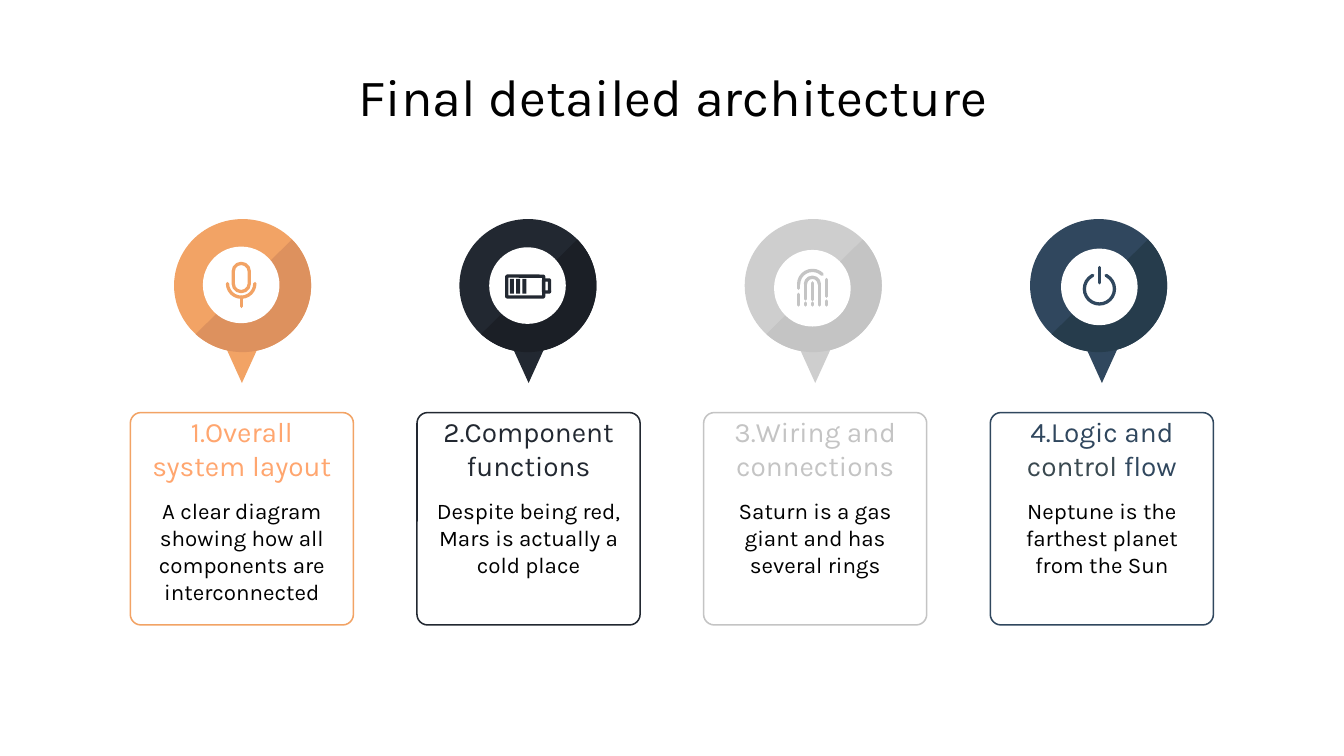
"""Build the slide of four map pins, each standing over a captioned card."""
from dataclasses import dataclass
from typing import NamedTuple

from lxml.etree import SubElement
from pptx import Presentation
from pptx.dml.color import RGBColor
from pptx.enum.shapes import MSO_CONNECTOR, MSO_SHAPE as S
from pptx.enum.text import MSO_ANCHOR as ANCHOR, MSO_AUTO_SIZE, PP_ALIGN
from pptx.oxml.ns import qn
from pptx.util import Inches, Pt

WHITE = RGBColor(0xFF, 0xFF, 0xFF)
BLACK = RGBColor(0x00, 0x00, 0x00)
ORANGE = RGBColor(0xF2, 0xA3, 0x65)
PEACH = RGBColor(0xFF, 0xA6, 0x6F)
ORANGE_SHADE = RGBColor(0xDD, 0x91, 0x5E)
INK = RGBColor(0x22, 0x28, 0x31)
INK_SHADE = RGBColor(0x1B, 0x1F, 0x26)
SILVER = RGBColor(0xCE, 0xCE, 0xCE)
GREY = RGBColor(0xC4, 0xC4, 0xC4)
NAVY = RGBColor(0x30, 0x47, 0x5E)
NAVY_SHADE = RGBColor(0x26, 0x3C, 0x4C)
SLATE = RGBColor(0x3A, 0x49, 0x50)

SLIDE_W, SLIDE_H = Inches(10), Inches(5.625)
CELL = SLIDE_W / 100
FONT = "Karla"
ANGLE = 0.6
STROKE = Pt(1.75)
CARD_LEFT, CARD_TOP, CARD_W, CARD_H, CARD_PITCH = 9.7, 30.7, 16.6, 15.8, 21.33
HEAD_H = 5.3
PIN_X, PIN_Y, PIN_W, PIN_H, PIN_PITCH = 18.05, 21.25, 10.2, 9.9, 21.23
TAIL_TOP, TAIL_W, TAIL_H = 25.3, 2.9, 3.2
HUB_D = 5.7


class Line(NamedTuple):
    """Stroke between two points, in cells from the hub's centre."""
    x1: float
    y1: float
    x2: float
    y2: float


class Arc(NamedTuple):
    """Circular stroke, its angles in degrees clockwise from the right."""
    y: float
    radius: float
    start: float
    end: float


class Box(NamedTuple):
    """Rectangle, outlined or solid, with its corner rounding."""
    x: float
    y: float
    w: float
    h: float
    corner: float = 0
    solid: bool = False


@dataclass
class Stop:
    """One pin with its icon and card."""
    color: RGBColor
    shade: RGBColor
    accent: RGBColor
    heading: list
    body: str
    hub: tuple
    icon: list


MIC = [Box(-0.6, -1.6, 1.2, 2.1, 0.5), Arc(-0.1, 1.02, 0, 180), Line(0, 0.9, 0, 1.6)]
BATTERY = [Box(-1.55, -0.7, 2.75, 1.55, 0.04), Box(1.2, -0.42, 0.45, 0.9, 0.1),
           *(Box(x, -0.5, 0.3, 1.1, solid=True) for x in (-1.3, -0.85, -0.38))]
FINGERPRINT = [Arc(-0.3, 1.03, 180, 315), Arc(-0.3, 0.52, 180, 0),
               *(Line(x, top, x, end) for x, top, end in (
                   (-1.03, -0.3, 0), (-1.03, 0.45, 1.25), (-0.52, -0.3, 0.8),
                   (-0.52, 1.1, 1.25), (0, -0.4, 0.85), (0, 1.1, 1.25),
                   (0.52, -0.3, 1.25), (1.03, -0.65, 0.6), (1.03, 0.95, 1.25)))]
POWER = [Arc(0.15, 1.12, 296, 244), Line(0, -1.45, 0, -0.3)]

STOPS = [
    Stop(ORANGE, ORANGE_SHADE, ORANGE, [("1.Overall system layout", PEACH)],
         "A clear diagram showing how all components are interconnected",
         (17.95, 21.2), MIC),
    Stop(INK, INK_SHADE, INK, [("2.Component functions", INK)],
         "Despite being red, Mars is actually a cold place", (39.25, 21.25), BATTERY),
    Stop(SILVER, GREY, GREY, [("3.Wiring and connections", GREY)],
         "Saturn is a gas giant and has several rings", (60.45, 21.45), FINGERPRINT),
    Stop(NAVY, NAVY_SHADE, NAVY,
         [("4.Logic and ", NAVY), ("control", SLATE), (" flow", NAVY)],
         "Neptune is the farthest planet from the Sun", (81.8, 21.35), POWER),
]


def cells(*values: float) -> list:
    """Convert grid cells to slide lengths."""
    return [round(v * CELL) for v in values]


def set_line(sp, color: RGBColor, width: int) -> None:
    """Give a shape or connector a round-ended line."""
    sp.line.color.rgb = color
    sp.line.width = width
    sp.element.spPr.find(qn("a:ln")).set("cap", "rnd")


def add_preset(shapes, kind, box: tuple, fill=None, line=None, width=STROKE, adjust=()):
    """Add a flat preset shape placed in cells."""
    sp = shapes.add_shape(kind, *cells(*box))
    sp.shadow.inherit = False
    for i, value in enumerate(adjust):
        sp.adjustments[i] = value
    if fill is None:
        sp.fill.background()
    else:
        sp.fill.solid()
        sp.fill.fore_color.rgb = fill
    if line is None:
        sp.line.fill.background()
    else:
        set_line(sp, line, width)
    return sp


def write(sp, runs: list, size: float, anchor) -> None:
    """Fill a text shape with one centred paragraph."""
    tf = sp.text_frame
    inset = cells(1)[0]
    layout = {"word_wrap": True, "auto_size": MSO_AUTO_SIZE.NONE, "vertical_anchor": anchor,
              "margin_left": inset, "margin_right": inset,
              "margin_top": inset, "margin_bottom": inset}
    for name, value in layout.items():
        setattr(tf, name, value)
    p = tf.paragraphs[0]
    p.alignment = PP_ALIGN.CENTER
    for text, color in runs:
        r = p.add_run()
        r.text = text
        for name, value in {"name": FONT, "size": Pt(size), "bold": False}.items():
            setattr(r.font, name, value)
        r.font.color.rgb = color


def draw_icon(shapes, stop: Stop) -> None:
    """Draw the icon's strokes and boxes around the hub's centre."""
    cx, cy = stop.hub
    for part in stop.icon:
        if isinstance(part, Line):
            ends = cells(cx + part.x1, cy + part.y1, cx + part.x2, cy + part.y2)
            cn = shapes.add_connector(MSO_CONNECTOR.STRAIGHT, *ends)
            set_line(cn, stop.accent, STROKE)
            SubElement(cn.element.spPr, qn("a:effectLst"))
        elif isinstance(part, Arc):
            r = part.radius
            add_preset(shapes, S.ARC, (cx - r, cy + part.y - r, 2 * r, 2 * r),
                       line=stop.accent, adjust=(part.start * ANGLE, part.end * ANGLE))
        else:
            paint = {"fill" if part.solid else "line": stop.accent}
            add_preset(shapes, S.ROUNDED_RECTANGLE, (cx + part.x, cy + part.y, part.w, part.h),
                       adjust=(part.corner,), **paint)


def draw_pin(shapes, stop: Stop, cx: float, tail_x: float) -> None:
    """Draw a pin: tail, shaded disc, white hub and icon."""
    disc = (cx - PIN_W / 2, PIN_Y - PIN_H / 2, PIN_W, PIN_H)
    hub = (stop.hub[0] - HUB_D / 2, stop.hub[1] - HUB_D / 2, HUB_D, HUB_D)
    add_preset(shapes, S.FLOWCHART_MERGE, (tail_x - TAIL_W / 2, TAIL_TOP, TAIL_W, TAIL_H),
               stop.color)
    add_preset(shapes, S.OVAL, disc, stop.color)
    add_preset(shapes, S.CHORD, disc, stop.shade, adjust=(317 * ANGLE, 134 * ANGLE))
    add_preset(shapes, S.OVAL, hub, WHITE)
    draw_icon(shapes, stop)


def draw_card(shapes, stop: Stop, left: float) -> None:
    """Draw a card outline with its heading and body text."""
    add_preset(shapes, S.ROUNDED_RECTANGLE, (left, CARD_TOP, CARD_W, CARD_H),
               line=stop.accent, width=Pt(0.81), adjust=(0.05,))
    head = shapes.add_textbox(*cells(left, CARD_TOP, CARD_W, HEAD_H))
    write(head, stop.heading, 15, ANCHOR.MIDDLE)
    body = shapes.add_textbox(*cells(left, CARD_TOP + HEAD_H, CARD_W, CARD_H - HEAD_H))
    write(body, [(stop.body, BLACK)], 12, ANCHOR.TOP)


def main() -> None:
    """Build and save the slide."""
    prs = Presentation()
    prs.slide_width, prs.slide_height = SLIDE_W, SLIDE_H
    slide = prs.slides.add_slide(prs.slide_layouts[5])
    title = slide.shapes.title
    title.left, title.top, title.width, title.height = cells(7.8, 4.5, 84.5, 5.3)
    write(title, [("Final detailed architecture", BLACK)], 28, ANCHOR.MIDDLE)
    for i, stop in enumerate(STOPS):
        left = CARD_LEFT + i * CARD_PITCH
        draw_card(slide.shapes, stop, left)
        pin = slide.shapes.add_group_shape()
        draw_pin(pin.shapes, stop, PIN_X + i * PIN_PITCH, left + CARD_W / 2)
    prs.save("out.pptx")


if __name__ == "__main__":
    main()
